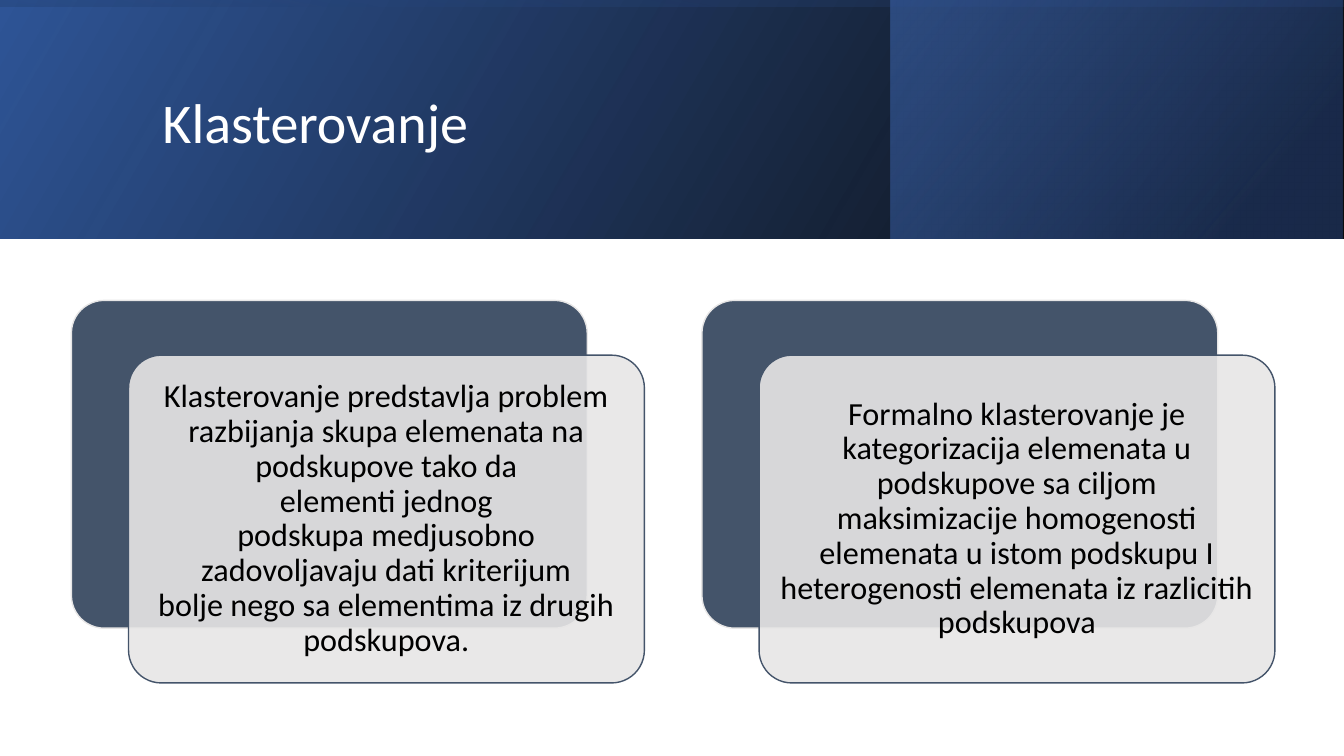
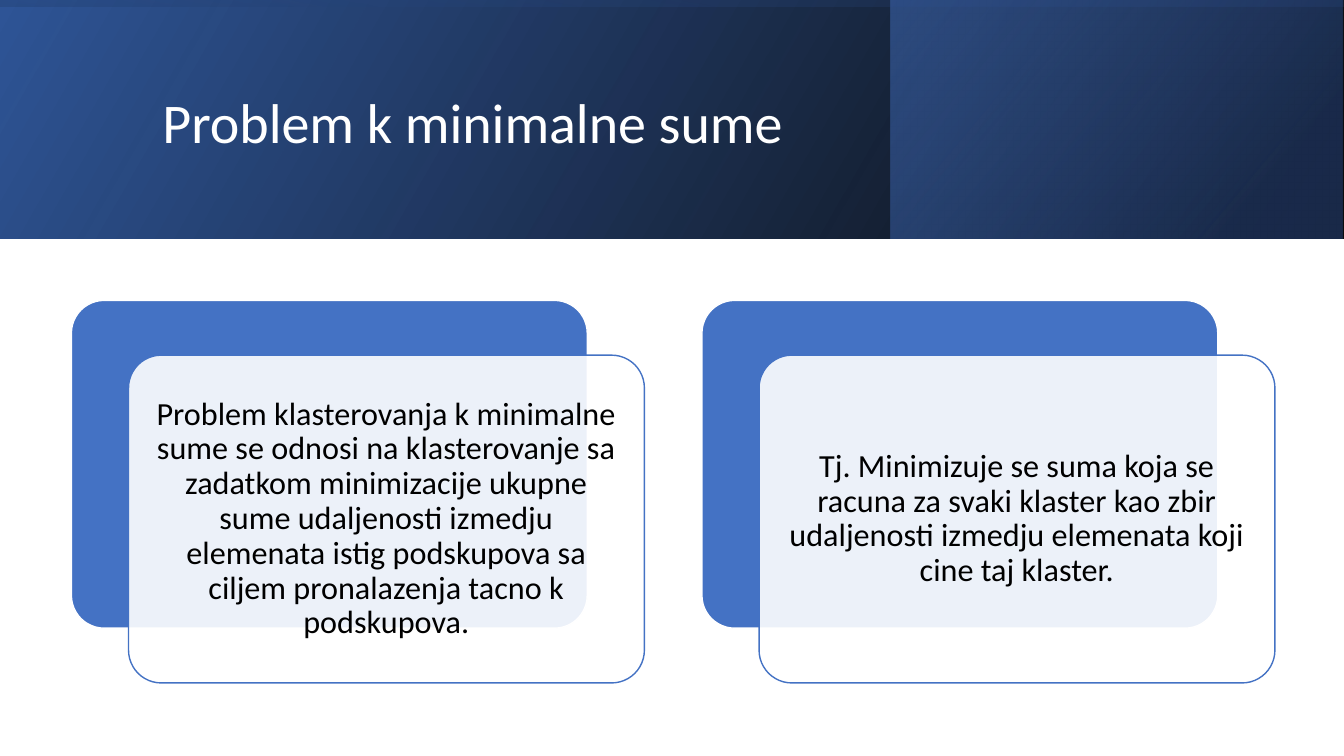
import pptx
import pptx.dml.color
import pptx.enum.shapes
import pptx.enum.text
import pptx.oxml
import pptx.util

Cm = pptx.util.Cm
Pt = pptx.util.Pt
SHAPES = pptx.enum.shapes.MSO_SHAPE
ALIGN = pptx.enum.text.PP_ALIGN
MIDDLE = pptx.enum.text.MSO_ANCHOR.MIDDLE

PAGE_WIDTH, PAGE_HEIGHT = 33.87, 19.05
BAND_HEIGHT = 6.02
ACCENT_LEFT, ACCENT_WIDTH = 22.45, 11.38
CARD_WIDTH, CARD_HEIGHT = 13, 8.26
CARD_LEFT, CARD_TOP, CARD_PITCH = 1.8, 7.57, 15.89
FRONT_SHIFT_X, FRONT_SHIFT_Y = 1.44, 1.38


def colour(value):
    return pptx.dml.color.RGBColor.from_string(value)


def set_opacity(element, percent):
    alpha = pptx.oxml.parse_xml(
        '<a:alpha xmlns:a="http://schemas.openxmlformats.org/drawingml/2006/main" '
        f'val="{percent * 1000}"/>'
    )
    element.append(alpha)


def write(frame, text, size, ink, align, font="Calibri"):
    frame.word_wrap = True
    frame.auto_size = pptx.enum.text.MSO_AUTO_SIZE.NONE
    frame.vertical_anchor = MIDDLE
    para = frame.paragraphs[0]
    para.alignment = align
    para.line_spacing = 0.9
    span = para.add_run()
    span.text = text
    span.font.name = font
    span.font.size = Pt(size)
    span.font.color.rgb = colour(ink)


class Deck:
    """Hold the shared style and the page being built."""

    def __init__(self):
        self.deck = pptx.Presentation()
        self.deck.slide_width = Cm(PAGE_WIDTH)
        self.deck.slide_height = Cm(PAGE_HEIGHT)
        self.page = None

    def add_page(self, title):
        self.page = self.deck.slides.add_slide(self.deck.slide_layouts[5])
        self.add_header()
        self.add_title(title)

    def add_shape(self, kind, left, top, width, height):
        shape = self.page.shapes.add_shape(
            kind, Cm(left), Cm(top), Cm(width), Cm(height)
        )
        shape.shadow.inherit = False
        return shape

    def add_band(self, left, top, width, height, stops, angle, rotation=0):
        band = self.add_shape(SHAPES.RECTANGLE, left, top, width, height)
        band.rotation = rotation
        band.element.spPr.xfrm.set("flipH", "1")
        band.line.fill.background()
        band.fill.gradient()
        band.fill.gradient_angle = 360 - angle
        for stop, (position, value, _) in zip(band.fill.gradient_stops, stops):
            stop.position = position / 100
            stop.color.rgb = colour(value)
        tints = band.element.spPr.xpath("./a:gradFill//a:srgbClr")
        for tint, (_, _, opacity) in zip(tints, stops):
            set_opacity(tint, opacity)

    def add_header(self):
        self.add_band(0, 0, PAGE_WIDTH, BAND_HEIGHT,
                      [(0, "000000", 96), (100, "2F5597", 100)], 330)
        self.add_band(ACCENT_LEFT, 0, ACCENT_WIDTH, BAND_HEIGHT,
                      [(19, "203864", 68), (100, "4472C4", 48)], 320)
        inset = (PAGE_WIDTH - BAND_HEIGHT) / 2
        self.add_band(inset, -inset, BAND_HEIGHT, PAGE_WIDTH,
                      [(23, "2F5597", 16), (99, "000000", 45)], 350, rotation=270)

    def add_title(self, text):
        title = self.page.shapes.title
        title.left, title.top = Cm(3.84), Cm(0.97)
        title.width, title.height = Cm(27), Cm(4.37)
        title.element.getparent().append(title.element)
        write(title.text_frame, text, 40, "FFFFFF", ALIGN.LEFT)

    def add_panel(self, left, top, fill, line):
        panel = self.add_shape(
            SHAPES.ROUNDED_RECTANGLE, left, top, CARD_WIDTH, CARD_HEIGHT
        )
        panel.adjustments[0] = 0.1
        panel.fill.solid()
        panel.fill.fore_color.rgb = colour(fill)
        panel.line.color.rgb = colour(line)
        panel.line.width = Pt(1)
        return panel

    def add_card(self, left, text, dark, light):
        self.add_panel(left, CARD_TOP, dark, light)
        front = self.add_panel(
            left + FRONT_SHIFT_X, CARD_TOP + FRONT_SHIFT_Y, light, dark
        )
        set_opacity(front.element.spPr.xpath("./a:solidFill/a:srgbClr")[0], 90)
        frame = front.text_frame
        frame.margin_left = frame.margin_right = Cm(0.25)
        frame.margin_top = frame.margin_bottom = Cm(0.25)
        write(frame, text, 23, "000000", ALIGN.CENTER)

    def add_cards(self, texts, dark, light):
        for index, text in enumerate(texts):
            self.add_card(CARD_LEFT + index * CARD_PITCH, text, dark, light)

    def save(self):
        self.deck.save("out.pptx")


deck = Deck()

deck.add_page("Klasterovanje")
deck.add_cards(
    [
        "Klasterovanje predstavlja problem razbijanja skupa elemenata na "
        "podskupove tako da elementi\u00a0jednog podskupa\u00a0medjusobno "
        "zadovoljavaju dati kriterijum bolje\u00a0nego sa elementima iz drugih "
        "podskupova.",
        "Formalno\u00a0klasterovanje je kategorizacija elemenata u podskupove sa "
        "ciljom maksimizacije\u00a0homogenosti elemenata u istom podskupu I "
        "heterogenosti elemenata iz\u00a0razlicitih podskupova",
    ],
    dark="44546A",
    light="E7E6E6",
)

deck.add_page("Problem k minimalne sume")
deck.add_cards(
    [
        "Problem klasterovanja k minimalne sume se odnosi na klasterovanje sa "
        "zadatkom minimizacije\u00a0ukupne sume\u00a0udaljenosti izmedju elemenata "
        "istig podskupova sa ciljem pronalazenja tacno k podskupova.",
        "Tj. Minimizuje se suma koja se racuna za svaki klaster kao zbir "
        "udaljenosti izmedju\u00a0elemenata koji cine taj klaster.",
    ],
    dark="4472C4",
    light="FFFFFF",
)

deck.save()
